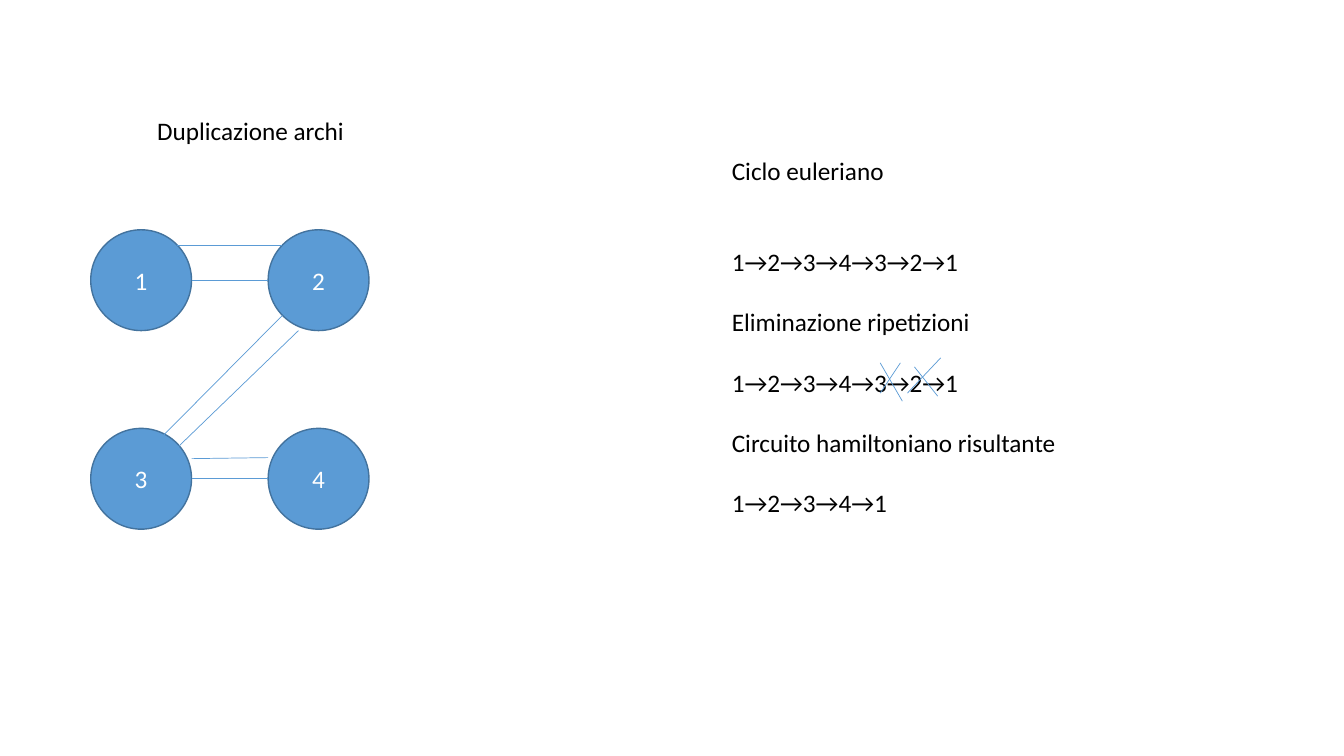
import pptx
import pptx.util
import pptx.dml.color
import pptx.enum.shapes
import pptx.enum.text
import pptx.oxml.ns
import lxml.etree

Inches = pptx.util.Inches
Pt = pptx.util.Pt
RGBColor = pptx.dml.color.RGBColor

BLUE = RGBColor(0x5B, 0x9B, 0xD5)
DARK_BLUE = RGBColor(0x43, 0x73, 0x9E)
WHITE = RGBColor(0xFF, 0xFF, 0xFF)
BLACK = RGBColor(0x00, 0x00, 0x00)

FONT = "Calibri"
LINE_PITCH = 21.6
NODE_SIZE = 1
NODE_LEFTS = (0.9, 2.66)
NODE_TOPS = (2.28, 4.25)

# Each line is (x1, y1, x2, y2) in inches.
EDGES = [
    (1.9, 2.78, 2.66, 2.78),
    (1.76, 2.43, 2.8, 2.43),
    (2.96, 3.28, 1.76, 4.44),
    (2.8, 3.13, 1.61, 4.33),
    (1.9, 4.75, 2.66, 4.75),
    (1.9, 4.55, 2.66, 4.54),
]
STRIKES = [
    (8.73, 3.6, 8.95, 3.98),
    (8.93, 3.6, 8.73, 3.9),
    (9.07, 3.64, 9.3, 3.93),
    (9.33, 3.55, 9, 3.9),
]

# Each step is its text and the number of line heights left free above it.
STEPS = [
    ("Ciclo euleriano", 0),
    ("1→2→3→4→3→2→1", 2),
    ("Eliminazione ripetizioni", 1),
    ("1→2→3→4→3→2→1", 1),
    ("Circuito hamiltoniano risultante", 1),
    ("1→2→3→4→1", 1),
]


def format_runs(p, color):
    for r in p.runs:
        r.font.name = FONT
        r.font.size = Pt(18)
        r.font.color.rgb = color


def add_node(slide, label, left, top):
    sp = slide.shapes.add_shape(
        pptx.enum.shapes.MSO_SHAPE.OVAL,
        Inches(left), Inches(top), Inches(NODE_SIZE), Inches(NODE_SIZE))
    sp.shadow.inherit = False
    sp.fill.solid()
    sp.fill.fore_color.rgb = BLUE
    sp.line.color.rgb = DARK_BLUE
    sp.line.width = Pt(1)
    tf = sp.text_frame
    tf.text = label
    tf.vertical_anchor = pptx.enum.text.MSO_ANCHOR.MIDDLE
    p = tf.paragraphs[0]
    p.alignment = pptx.enum.text.PP_ALIGN.CENTER
    format_runs(p, WHITE)


def add_line(slide, x1, y1, x2, y2):
    cxn = slide.shapes.add_connector(
        pptx.enum.shapes.MSO_CONNECTOR.STRAIGHT,
        Inches(x1), Inches(y1), Inches(x2), Inches(y2))
    cxn.line.color.rgb = BLUE
    cxn.line.width = Pt(0.5)
    sp_pr = cxn.element.find(pptx.oxml.ns.qn("p:spPr"))
    lxml.etree.SubElement(sp_pr, pptx.oxml.ns.qn("a:effectLst"))


def add_text(slide, left, top, width, height, lines):
    """Add a text box from pairs of text and free line heights above it."""
    sp = slide.shapes.add_textbox(
        Inches(left), Inches(top), Inches(width), Inches(height))
    tf = sp.text_frame
    tf.word_wrap = False
    tf.text = "\n".join(text for text, _ in lines)
    for p, (_, gap) in zip(tf.paragraphs, lines):
        p.space_before = Pt(gap * LINE_PITCH)
        format_runs(p, BLACK)


def main():
    prs = pptx.Presentation()
    prs.slide_width = Inches(13.33)
    prs.slide_height = Inches(7.5)
    slide = prs.slides.add_slide(prs.slide_layouts[6])

    for i in range(4):
        row, col = divmod(i, 2)
        add_node(slide, str(i + 1), NODE_LEFTS[col], NODE_TOPS[row])
    for edge in EDGES:
        add_line(slide, *edge)

    add_text(slide, 1.46, 1.09, 2.08, 0.4, [("Duplicazione archi", 0)])
    add_text(slide, 7.16, 1.49, 3.45, 4.34, STEPS)
    for strike in STRIKES:
        add_line(slide, *strike)

    prs.save("out.pptx")


if __name__ == "__main__":
    main()
